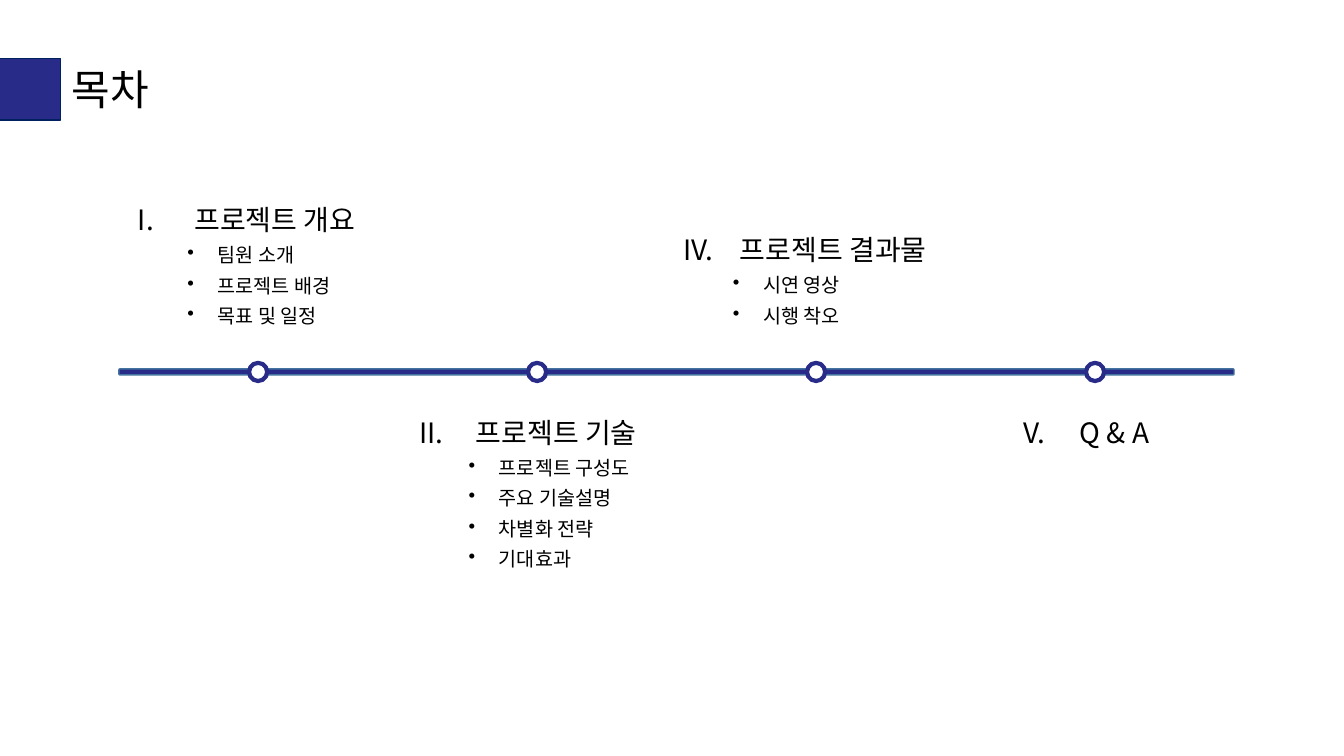
from dataclasses import dataclass

from lxml import etree
from pptx import Presentation
from pptx import util as u
from pptx.dml.color import RGBColor
from pptx.enum import shapes, text
from pptx.oxml.ns import qn

FONT = "Noto Sans CJK KR"
COLORS = {"navy": "292B88", "edge": "002060", "rim": "43739E",
          "white": "FFFFFF", "black": "000000"}


@dataclass
class Topic:
    start: int
    head: str
    items: list[str]
    left: float
    top: float
    width: float
    height: float
    gap: int = 5


@dataclass
class Part:
    kind: shapes.MSO_SHAPE
    left: float
    top: float
    width: float
    height: float
    fill: str
    line: str
    weight: float


TOPICS = [
    Topic(1, "프로젝트 개요", ["팀원 소개", "프로젝트 배경", "목표 및 일정"],
          1.27, 1.96, 2.57, 1.35),
    Topic(2, "프로젝트 기술", ["프로젝트 구성도", "주요 기술설명", "차별화 전략", "기대효과"],
          4.06, 4.07, 2.54, 1.66),
    Topic(4, "프로젝트 결과물", ["시연 영상", "시행 착오"], 6.68, 2.26, 2.81, 1.05),
    Topic(5, "Q & A", [], 10.05, 4.07, 1.63, 0.44, 0),
]
BOX, BAR, DOT = (shapes.MSO_SHAPE.RECTANGLE, shapes.MSO_SHAPE.ROUNDED_RECTANGLE,
                 shapes.MSO_SHAPE.OVAL)
PARTS = [
    Part(BOX, -0.69, 0.58, 1.29, 0.61, "navy", "edge", 1),
    Part(BAR, 1.18, 3.66, 11.06, 0.06, "navy", "rim", 1),
    *(Part(DOT, 2.47 + 2.767 * i, 3.6, 0.18, 0.18, "white", "navy", 3)
      for i in range(4)),
]


def rgb(name: str) -> RGBColor:
    return RGBColor.from_string(COLORS[name])


def style(para, size: float) -> None:
    """Set the font for Latin and Korean text, with lines 1.2 times the size."""
    font = para.font
    font.name, font.size = FONT, u.Pt(size)
    font.color.rgb = rgb("black")
    para.alignment = text.PP_ALIGN.LEFT
    para.line_spacing = u.Pt(size * 1.2)
    props = para._p.get_or_add_pPr().find(qn("a:defRPr"))
    etree.SubElement(props, qn("a:ea")).set("typeface", FONT)


def mark(para, tag: str, left: float, hang: float, **attrs: str) -> None:
    """Give the paragraph a bullet or number with a hanging indent."""
    props = para._p.get_or_add_pPr()
    props.set("marL", str(u.Inches(left)))
    props.set("indent", str(u.Inches(-hang)))
    bullet = etree.Element(qn(tag), attrs)
    props.find(qn("a:defRPr")).addprevious(bullet)


def add_topic(slide, topic: Topic) -> None:
    box = slide.shapes.add_textbox(*map(u.Inches, (
        topic.left, topic.top, topic.width, topic.height)))
    frame = box.text_frame
    frame.word_wrap = True
    frame.text = "\n".join([topic.head, *topic.items])
    for i, para in enumerate(frame.paragraphs):
        style(para, 14 if i else 20)
        para.space_before = u.Pt(topic.gap)
        if i:
            para.level = 1
            mark(para, "a:buChar", 0.79, 0.3, char="•")
        else:
            mark(para, "a:buAutoNum", 0.56, 0.56, type="romanUcPeriod",
                 startAt=str(topic.start))


def add_part(slide, part: Part) -> None:
    shape = slide.shapes.add_shape(part.kind, *map(u.Inches, (
        part.left, part.top, part.width, part.height)))
    shape.shadow.inherit = False
    shape.fill.solid()
    shape.fill.fore_color.rgb = rgb(part.fill)
    shape.line.color.rgb = rgb(part.line)
    shape.line.width = u.Pt(part.weight)


def add_title(slide, words: str) -> None:
    title = slide.shapes.title
    title.left, title.top, title.width, title.height = map(
        u.Inches, (0.61, 0.58, 1.43, 0.61))
    frame = title.text_frame
    frame.text = words
    frame.word_wrap = True
    frame.auto_size = text.MSO_AUTO_SIZE.NONE
    frame.vertical_anchor = text.MSO_ANCHOR.TOP
    style(frame.paragraphs[0], 30)


def main() -> None:
    deck = Presentation()
    deck.slide_width, deck.slide_height = u.Inches(13.33), u.Inches(7.5)
    slide = deck.slides.add_slide(deck.slide_layouts[5])
    add_title(slide, "목차")
    for topic in TOPICS:
        add_topic(slide, topic)
    for part in PARTS:
        add_part(slide, part)
    deck.save("out.pptx")


if __name__ == "__main__":
    main()
